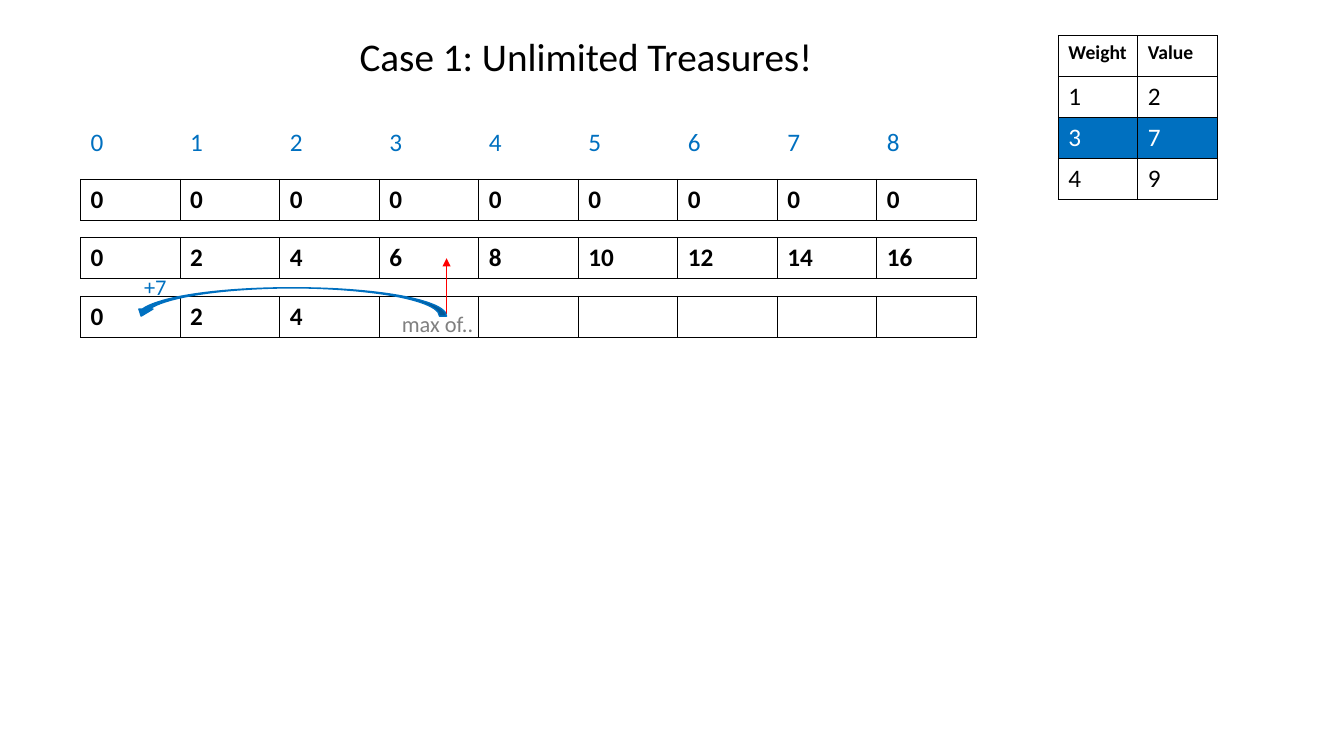
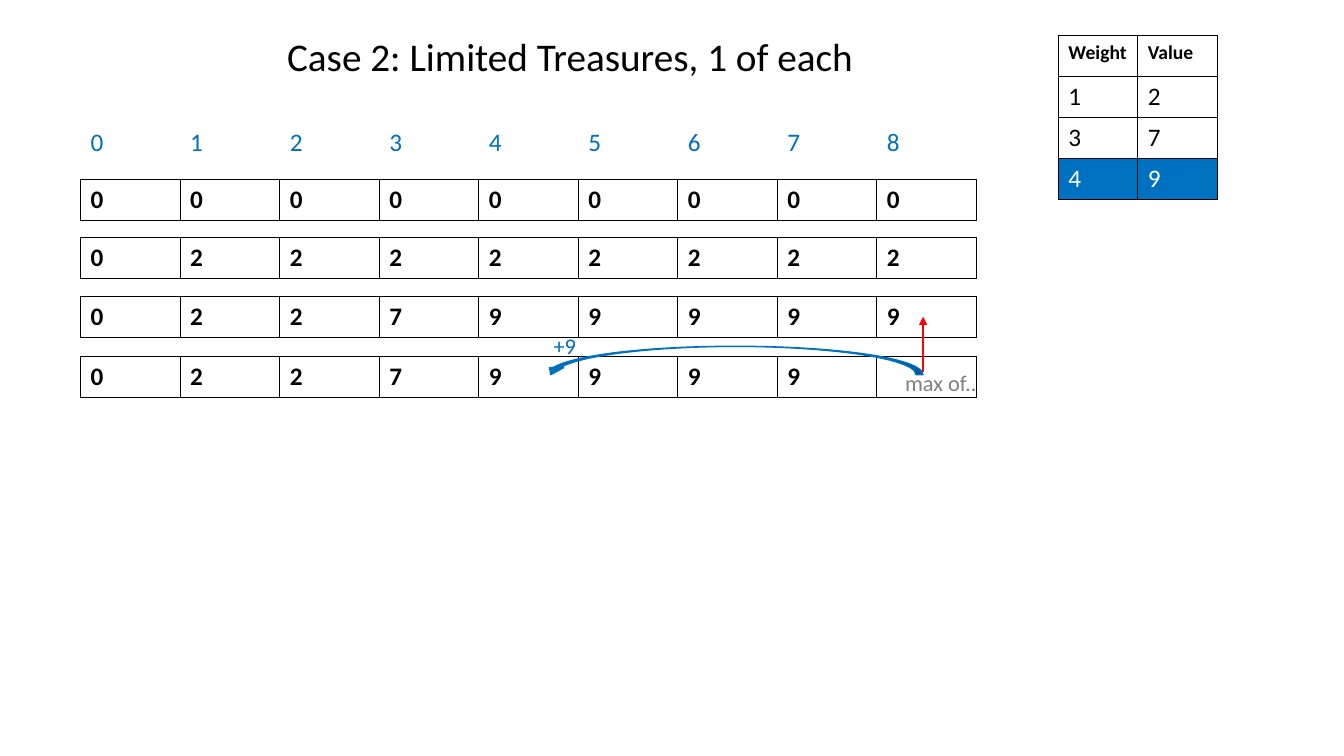
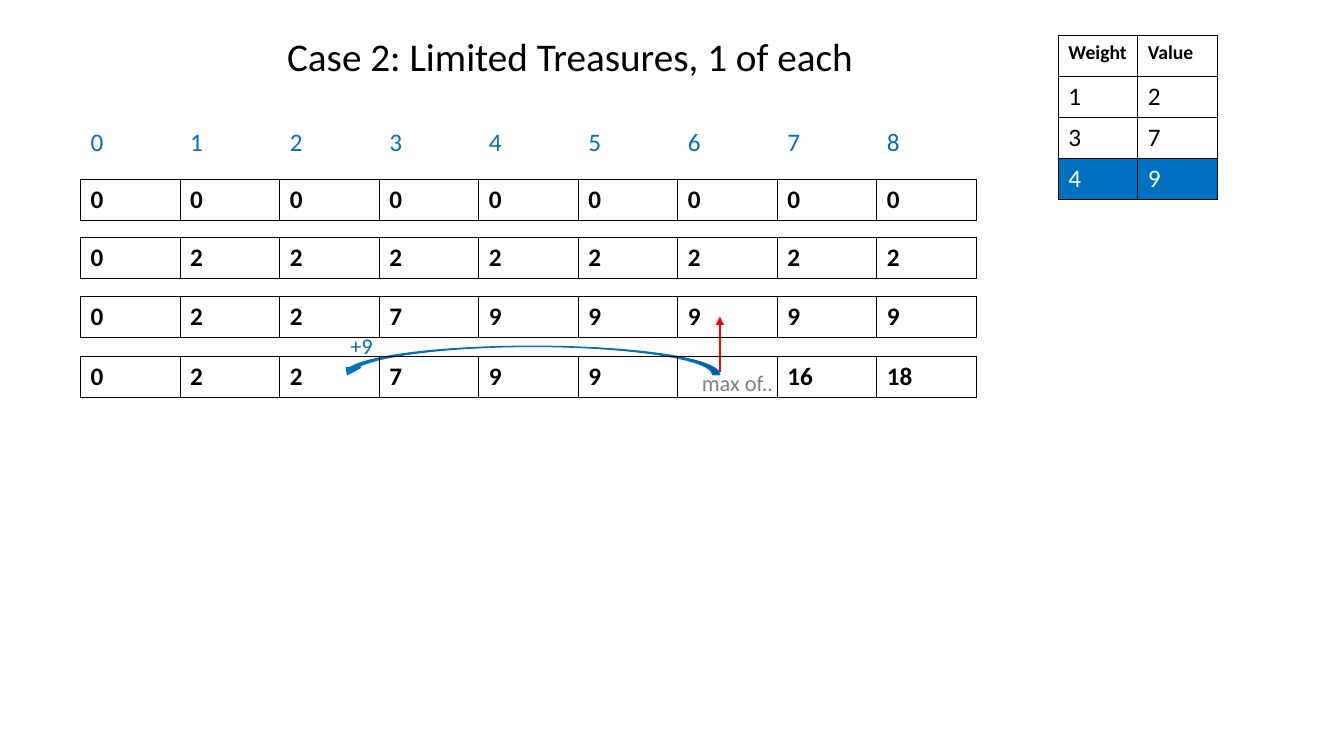
from dataclasses import dataclass

from lxml.etree import SubElement
from pptx import Presentation
from pptx.dml.color import RGBColor
from pptx.enum.shapes import MSO_CONNECTOR, MSO_SHAPE
from pptx.enum.text import MSO_AUTO_SIZE
from pptx.oxml import parse_xml
from pptx.oxml.ns import nsdecls, qn
from pptx.util import Pt


@dataclass(frozen=True)
class Theme:
    font: str = "Calibri"
    black: str = "000000"
    white: str = "FFFFFF"
    blue: str = "0070C0"
    red: str = "FF0000"
    gray: str = "808080"
    title_size: int = 28
    cell_size: int = 18
    note_size: int = 16
    header_size: int = 14


theme = Theme()
color = RGBColor.from_string

# Shared layout, in points
GRID_LEFT, COLUMN_WIDTH, ROW_HEIGHT = 57.6, 71.1, 29.25
INDEX_TOP = 87.1
ROW_TOPS = [128.2, 169.9, 211.7, 254.9]
ITEMS_LEFT, ITEMS_TOP, ITEMS_COLUMN = 756, 25.6, 56.7
TITLE_TOP, TITLE_HEIGHT = 19.4, 41.2
NOTE_HEIGHT = 26.6

ITEMS = [["Weight", "Value"], [1, 2], [3, 7], [4, 9]]
ZEROS = [0] * 9
ONE_OF_FIRST = [0] + [2] * 8
ONE_OF_FIRST_TWO = [0, 2, 2, 7] + [9] * 5

# Each step: the filled rows and the comparison under way ("" is an open cell)
steps = [
    {"title": "Case 1: Unlimited Treasures!", "title_left": 249.8, "title_width": 341.3,
     "rows": [ZEROS, list(range(0, 17, 2)), [0, 2, 4] + [""] * 6],
     "item": 2, "gain": "+7", "base": 224, "arc_left": 95.8, "arc_width": 223.2,
     "max_shift": 39, "max_width": 152, "notes_behind": False},
    {"title": "Case 2: Limited Treasures, 1 of each", "title_left": 198, "title_width": 423.4,
     "rows": [ZEROS, ONE_OF_FIRST, ONE_OF_FIRST_TWO, [0, 2, 2, 7, 9, 9, 9, 9, ""]],
     "item": 3, "gain": "+9", "base": 265.8, "arc_left": 388.4, "arc_width": 271,
     "max_shift": 20, "max_width": 184, "notes_behind": False},
    {"title": "Case 2: Limited Treasures, 1 of each", "title_left": 198, "title_width": 423.4,
     "rows": [ZEROS, ONE_OF_FIRST, ONE_OF_FIRST_TWO, [0, 2, 2, 7, 9, 9, "", 16, 18]],
     "item": 3, "gain": "+9", "base": 265.8, "arc_left": 243.2, "arc_width": 271,
     "max_shift": 20, "max_width": 184, "notes_behind": True},
]


def add_text(shapes, text, left, top, width, height, size, ink):
    box = shapes.add_textbox(Pt(left), Pt(top), Pt(width), Pt(height))
    box.text_frame.word_wrap = False
    box.text_frame.auto_size = MSO_AUTO_SIZE.SHAPE_TO_FIT_TEXT
    paragraph = box.text_frame.paragraphs[0]
    paragraph.text = text
    paragraph.font.name = theme.font
    paragraph.font.size = Pt(size)
    paragraph.font.color.rgb = color(ink)


def add_grid(shapes, rows, left, top, column_width, ink=theme.black, bold=False,
             border=True, header=False, marked=None):
    table = shapes.add_table(len(rows), len(rows[0]), Pt(left), Pt(top),
                             Pt(column_width * len(rows[0])),
                             Pt(ROW_HEIGHT * len(rows))).table
    table.first_row = table.horz_banding = False
    for column in table.columns:
        column.width = Pt(column_width)
    for row_number, row in enumerate(rows):
        is_header = header and row_number == 0
        is_marked = row_number == marked
        for column_number, value in enumerate(row):
            cell = table.cell(row_number, column_number)
            paragraph = cell.text_frame.paragraphs[0]
            paragraph.text = str(value)
            paragraph.font.name = theme.font
            paragraph.font.size = Pt(theme.header_size if is_header else theme.cell_size)
            paragraph.font.bold = bold or is_header
            paragraph.font.color.rgb = color(theme.white if is_marked else ink)
            if is_marked:
                cell.fill.solid()
                cell.fill.fore_color.rgb = color(theme.blue)
            else:
                cell.fill.background()
            # Borders come before the fill in the cell properties
            paint = (f'<a:solidFill><a:srgbClr val="{theme.black}"/></a:solidFill>'
                     if border else "<a:noFill/>")
            properties = cell._tc.get_or_add_tcPr()
            for position, side in enumerate(("lnL", "lnR", "lnT", "lnB")):
                properties.insert(position, parse_xml(
                    f'<a:{side} {nsdecls("a")} w="{Pt(1)}">{paint}</a:{side}>'))


presentation = Presentation()
presentation.slide_width, presentation.slide_height = Pt(960), Pt(540)

for step in steps:
    slide = presentation.slides.add_slide(presentation.slide_layouts[6])
    shapes = slide.shapes

    # Comparison marks, grouped
    group = shapes.add_group_shape()
    base, arc_left = step["base"], step["arc_left"]
    current = arc_left + step["arc_width"]

    up_arrow = group.shapes.add_connector(
        MSO_CONNECTOR.STRAIGHT, Pt(current), Pt(base), Pt(current), Pt(base - 39.6))
    up_arrow.line.color.rgb = color(theme.red)
    up_arrow.line.width = Pt(1)
    SubElement(up_arrow.line._get_or_add_ln(), qn("a:tailEnd"), type="triangle")
    SubElement(up_arrow._element.spPr, qn("a:effectLst"))

    add_text(group.shapes, step["gain"], arc_left, base - 32.4, 31, NOTE_HEIGHT,
             theme.note_size, theme.blue)
    add_text(group.shapes, "max of..", current - step["max_shift"], base - 6,
             step["max_width"], NOTE_HEIGHT, theme.note_size, theme.gray)

    arc = group.shapes.add_shape(MSO_SHAPE.CURVED_UP_ARROW, Pt(arc_left), Pt(base - 18.4),
                                 Pt(step["arc_width"]), Pt(20.2))
    arc.shadow.inherit = False
    arc.fill.solid()
    arc.fill.fore_color.rgb = color(theme.blue)
    arc.line.color.rgb = color(theme.blue)
    arc.line.width = Pt(1)
    for flip in ("flipH", "flipV"):
        arc._element.spPr.xfrm.set(flip, "1")

    # Capacity index, value rows and item list
    add_grid(shapes, [range(9)], GRID_LEFT, INDEX_TOP, COLUMN_WIDTH,
             ink=theme.blue, border=False)
    for row, top in zip(step["rows"], ROW_TOPS):
        add_grid(shapes, [row], GRID_LEFT, top, COLUMN_WIDTH, bold=True)
    add_grid(shapes, ITEMS, ITEMS_LEFT, ITEMS_TOP, ITEMS_COLUMN,
             header=True, marked=step["item"])

    # Marks lie above the tables unless the step puts them behind
    if not step["notes_behind"]:
        shapes._spTree.append(group._element)

    # Title
    add_text(shapes, step["title"], step["title_left"], TITLE_TOP, step["title_width"],
             TITLE_HEIGHT, theme.title_size, theme.black)

presentation.save("out.pptx")
